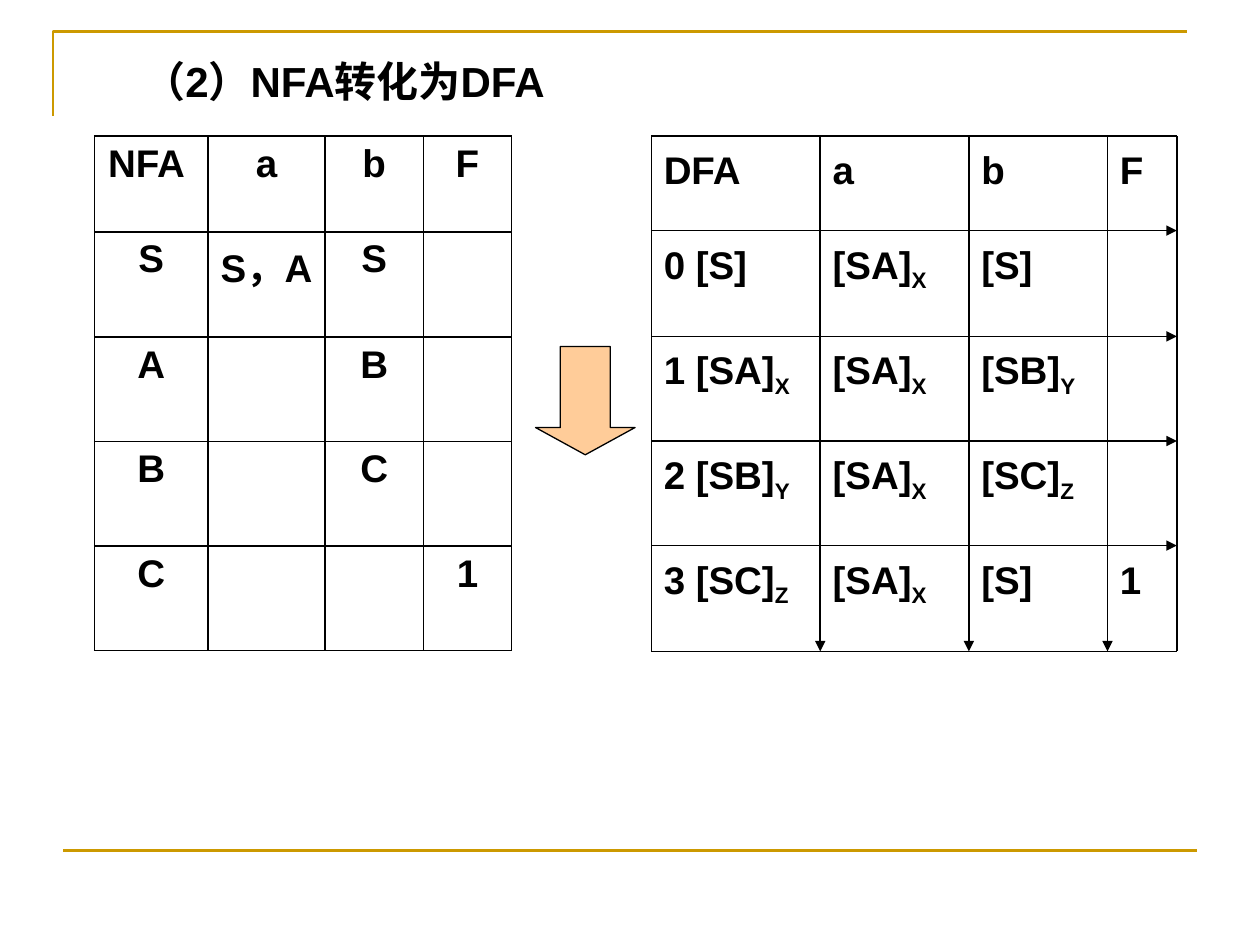
from pptx import Presentation
from pptx import util as u
from pptx.dml.color import RGBColor
from pptx.enum import shapes, text
from pptx.oxml import ns
from lxml import etree

Inches, Pt = u.Inches, u.Pt
BLACK, GOLD, PEACH = "000000", "CC9900", "FFCC99"


def color(value):
    return RGBColor.from_string(value)


def add_run(paragraph, words, size=22, subscript=False):
    run = paragraph.add_run()
    run.text = words
    run.font.name = "Arial"
    run.font.size = Pt(size)
    run.font.bold = True
    run.font.color.rgb = color(BLACK)
    if subscript:
        run.font._element.set("baseline", "-25000")


presentation = Presentation()
presentation.slide_width = Inches(10)
presentation.slide_height = Inches(7.5)
slide = presentation.slides.add_slide(presentation.slide_layouts[6])

# Gold corner frame at the top
builder = slide.shapes.build_freeform(Inches(0.42), Inches(0.92))
builder.add_line_segments(
    [(Inches(0.42), Inches(0.25)), (Inches(9.42), Inches(0.25))], close=False)
frame = builder.convert_to_shape()
frame.shadow.inherit = False
frame.fill.background()
frame.line.color.rgb = color(GOLD)
frame.line.width = Pt(1.5)

# DFA grid: text of each cell as (words, subscript)
column_edges = [5.17, 6.51, 7.69, 8.79, 9.34]
row_edges = [1.08, 1.83, 2.67, 3.5, 4.33, 5.17]
dfa_rows = [
    [("DFA", ""), ("a", ""), ("b", ""), ("F", "")],
    [("0 [S]", ""), ("[SA]", "X"), ("[S]", "")],
    [("1 [SA]", "X"), ("[SA]", "X"), ("[SB]", "Y")],
    [("2 [SB]", "Y"), ("[SA]", "X"), ("[SC]", "Z")],
    [("3 [SC]", "Z"), ("[SA]", "X"), ("[S]", ""), ("1", "")],
]
for row, cells in enumerate(dfa_rows):
    for column, (words, subscript) in enumerate(cells):
        left, top = column_edges[column], row_edges[row]
        box = slide.shapes.add_textbox(
            Inches(left), Inches(top),
            Inches(column_edges[column + 1] - left),
            Inches(row_edges[row + 1] - top))
        box.text_frame.word_wrap = True
        box.text_frame.margin_top = Inches(0.08)
        paragraph = box.text_frame.paragraphs[0]
        add_run(paragraph, words)
        if subscript:
            add_run(paragraph, subscript, subscript=True)

# Lines: (x1, y1, x2, y2, colour, width, arrowhead); inner grid lines have arrows
left, right = column_edges[0], column_edges[-1]
top, bottom = row_edges[0], row_edges[-1]
lines = [(0.5, 6.75, 9.5, 6.75, GOLD, 1.5, False)]
lines += [(x, top, x, bottom, BLACK, 1, left < x < right) for x in column_edges]
lines += [(left, y, right, y, BLACK, 1, top < y < bottom) for y in row_edges]
for x1, y1, x2, y2, line_color, width, arrowhead in lines:
    connector = slide.shapes.add_connector(
        shapes.MSO_CONNECTOR.STRAIGHT,
        Inches(x1), Inches(y1), Inches(x2), Inches(y2))
    connector.line.color.rgb = color(line_color)
    connector.line.width = Pt(width)
    if arrowhead:
        etree.SubElement(connector.line._get_or_add_ln(),
                         ns.qn("a:tailEnd"), type="triangle")
    etree.SubElement(connector._element.spPr, ns.qn("a:effectLst"))

# Block arrow between the tables
arrow = slide.shapes.add_shape(
    shapes.MSO_SHAPE.DOWN_ARROW,
    Inches(4.25), Inches(2.75), Inches(0.79), Inches(0.86))
arrow.adjustments[0] = 0.5
arrow.adjustments[1] = 0.274
arrow.shadow.inherit = False
arrow.fill.solid()
arrow.fill.fore_color.rgb = color(PEACH)
arrow.line.color.rgb = color(BLACK)
arrow.line.width = Pt(0.75)

# NFA table
nfa_rows = [
    ["NFA ", "a", "b", "F"],
    ["S", "S，A", "S", ""],
    ["A", "", "B", ""],
    ["B", "", "C", ""],
    ["C", "", "", "1"],
]
table = slide.shapes.add_table(
    5, 4, Inches(0.75), Inches(1.08), Inches(3.31), Inches(4.08)).table
table.first_row = False
table.horz_banding = False
for column, width in zip(table.columns, [0.9, 0.93, 0.78, 0.7]):
    column.width = Inches(width)
for row, height in zip(table.rows, [0.76] + [0.83] * 4):
    row.height = Inches(height)
for row, cells in enumerate(nfa_rows):
    for column, words in enumerate(cells):
        cell = table.cell(row, column)
        paragraph = cell.text_frame.paragraphs[0]
        paragraph.alignment = text.PP_ALIGN.CENTER
        if words:
            add_run(paragraph, words)
        properties = cell._tc.get_or_add_tcPr()
        for side in ("lnL", "lnR", "lnT", "lnB"):
            border = etree.SubElement(properties, ns.qn(f"a:{side}"), w=str(Pt(1)))
            fill = etree.SubElement(border, ns.qn("a:solidFill"))
            etree.SubElement(fill, ns.qn("a:srgbClr"), val=BLACK)
        cell.fill.background()

# Title
title = slide.shapes.add_textbox(Inches(0.7), Inches(0.39), Inches(4.06), Inches(0.51))
title.text_frame.word_wrap = True
paragraph = title.text_frame.paragraphs[0]
paragraph.alignment = text.PP_ALIGN.CENTER
add_run(paragraph, "（2）NFA转化为DFA", size=24)

presentation.save("out.pptx")
